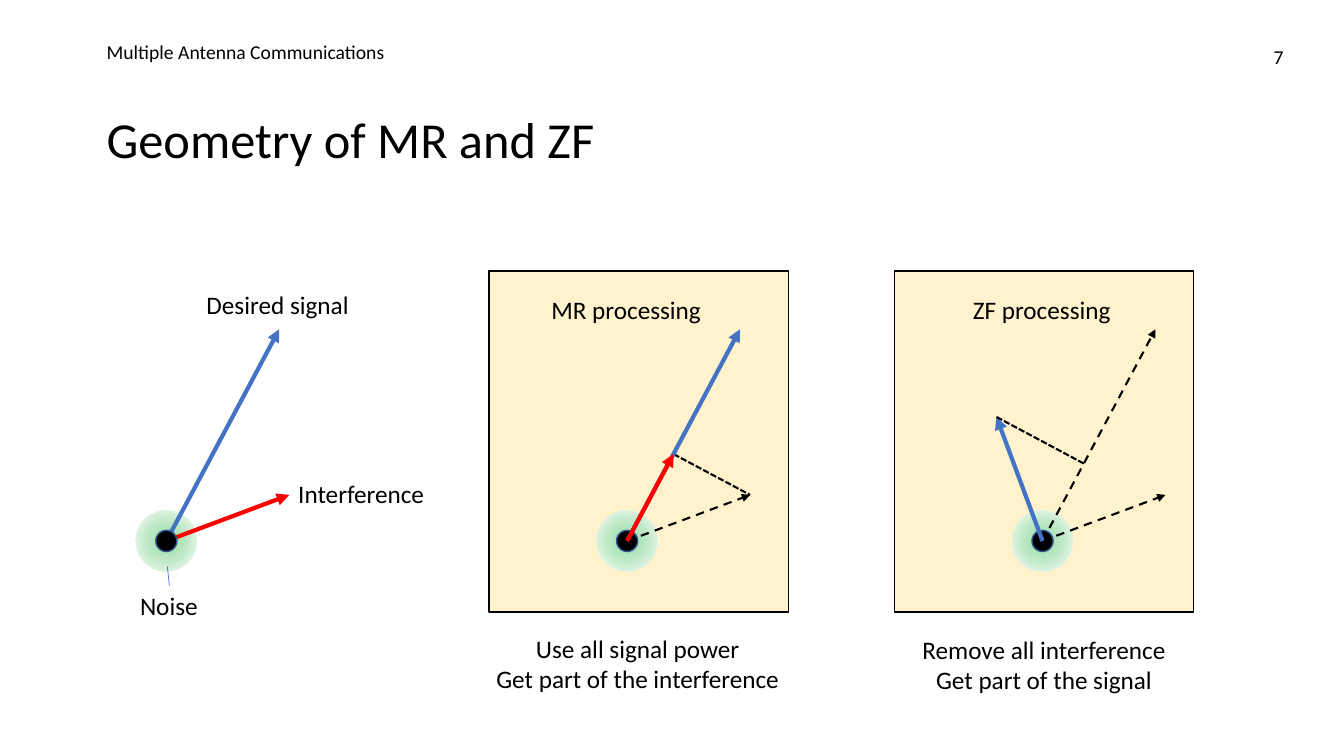
from dataclasses import dataclass
from lxml import etree
from pptx import Presentation
from pptx import util as u
from pptx.dml.color import RGBColor
from pptx.enum import dml, shapes, text
from pptx.oxml.ns import qn

COLS, ROWS = 40, 22.5
SIGNAL, INTERF, ZERO = (3.36, -6.3), (3.66, -1.37), (-1.37, -3.69)
START = (0, 0)


@dataclass
class Theme:
    font: str = "Calibri"
    ink: str = "000000"
    panel: str = "FFF2CC"
    blue: str = "4472C4"
    red: str = "FF0000"
    rim: str = "325491"
    glow: tuple = ((0, "91DEA0"), (44, "BDE8C5"), (100, "FFFFFF"))
    title: int = 36
    body: int = 18
    small: int = 14
    thick: float = 3
    thin: float = 1.5
    edge: float = 1
    hair: float = 0.5


T = Theme()


def project(vec, axis):
    share = sum(a * b for a, b in zip(vec, axis)) / sum(a * a for a in axis)
    return tuple(share * a for a in axis)


MR_FOOT, ZF_FOOT = project(INTERF, SIGNAL), project(ZERO, SIGNAL)

PANELS = [(14.55, 8.07, 8.91, 10.14), (26.61, 8.07, 8.91, 10.14)]
BLUE = dict(color=T.blue, width=T.thick)
RED = dict(color=T.red, width=T.thick)
DASH = dict(color=T.ink, width=T.thin, dash=dml.MSO_LINE.DASH)
FINE = dict(color=T.ink, width=T.thin, dash=dml.MSO_LINE.SQUARE_DOT, head=False)
HUB_ROW = 16.1
GRAPHS = [
    (4.95, [(START, SIGNAL, BLUE), (START, INTERF, RED)], []),
    (18.66, [(MR_FOOT, INTERF, FINE), (START, SIGNAL, BLUE), (START, INTERF, DASH)],
     [(START, MR_FOOT, RED)]),
    (31.02, [(START, SIGNAL, DASH), (START, INTERF, DASH)],
     [(START, ZERO, BLUE), (ZF_FOOT, ZERO, FINE)]),
]
MID = dict(align=text.PP_ALIGN.CENTER)
TIGHT = dict(wrap=False)
LABELS = [
    ("Geometry of MR and ZF", (2.88, 3.27, 35.61, 2.73), dict(size=T.title, space=0.9)),
    ("Multiple Antenna Communications", (2.88, 1.17, 26.79, 0.87),
     dict(size=T.small, anchor=text.MSO_ANCHOR.BOTTOM)),
    ("7", (36.06, 1.2, 2.43, 0.87), dict(size=T.small, align=text.PP_ALIGN.RIGHT)),
    ("Desired signal", (5.85, 8.46, 4.89, 1.2), TIGHT),
    ("Interference", (8.58, 14.1, 4.41, 1.2), TIGHT),
    ("Noise", (3.87, 17.43, 2.34, 1.2), TIGHT),
    ("MR processing", (16.11, 8.61, 5.1, 1.2), TIGHT),
    ("ZF processing", (28.65, 8.61, 4.74, 1.2), TIGHT),
    ("Use all signal power\nGet part of the interference", (14.43, 18.69, 9.09, 3.03), MID),
    ("Remove all interference\nGet part of the signal", (26.61, 18.72, 8.91, 2.13), MID),
]

deck = Presentation()
deck.slide_width, deck.slide_height = u.Inches(13.33), u.Inches(7.5)
slide = deck.slides.add_slide(deck.slide_layouts[6])
CELL = deck.slide_height / ROWS


def grid(*cells):
    return [u.Emu(round(c * CELL)) for c in cells]


def label(words, box, size=T.body, align=text.PP_ALIGN.LEFT,
          anchor=text.MSO_ANCHOR.TOP, wrap=True, space=None):
    frame = slide.shapes.add_textbox(*grid(*box)).text_frame
    frame.word_wrap, frame.vertical_anchor = wrap, anchor
    frame.text = words
    for para in frame.paragraphs:
        para.alignment, para.line_spacing = align, space
        font = para.runs[0].font
        font.name, font.size = T.font, u.Pt(size)
        font.color.rgb = RGBColor.from_string(T.ink)


def block(kind, box, fill=None, line=None):
    shape = slide.shapes.add_shape(kind, *grid(*box))
    shape.shadow.inherit = False
    if fill:
        shape.fill.solid()
        shape.fill.fore_color.rgb = RGBColor.from_string(fill)
    if line:
        shape.line.color.rgb = RGBColor.from_string(line)
        shape.line.width = u.Pt(T.edge)
    else:
        shape.line.fill.background()
    return shape


def disc(x, y, size, **style):
    return block(shapes.MSO_SHAPE.OVAL, (x - size / 2, y - size / 2, size, size), **style)


def halo(x, y):
    props = disc(x, y, 1.81).element.spPr
    grad = etree.Element(qn("a:gradFill"), rotWithShape="1")
    stops = etree.SubElement(grad, qn("a:gsLst"))
    for share, color in T.glow:
        stop = etree.SubElement(stops, qn("a:gs"), pos=str(share * 1000))
        etree.SubElement(stop, qn("a:srgbClr"), val=color)
    ring = etree.SubElement(grad, qn("a:path"), path="circle")
    etree.SubElement(ring, qn("a:fillToRect"), l="50000", t="50000", r="50000", b="50000")
    props.find(qn("a:prstGeom")).addnext(grad)


def ray(start, end, color, width, dash=None, head=True):
    wire = slide.shapes.add_connector(shapes.MSO_CONNECTOR.STRAIGHT, *grid(*start, *end))
    wire.line.color.rgb = RGBColor.from_string(color)
    wire.line.width = u.Pt(width)
    if dash:
        wire.line.dash_style = dash
    props = wire.element.spPr
    if head:
        etree.SubElement(props.find(qn("a:ln")), qn("a:tailEnd"), type="triangle")
    etree.SubElement(props, qn("a:effectLst"))


def rays(hub, items):
    for start, end, style in items:
        ray((hub + start[0], HUB_ROW + start[1]), (hub + end[0], HUB_ROW + end[1]), **style)


for panel in PANELS:
    block(shapes.MSO_SHAPE.RECTANGLE, panel, fill=T.panel, line=T.ink)
for hub, under, over in GRAPHS:
    halo(hub, HUB_ROW)
    rays(hub, under)
    disc(hub, HUB_ROW, 0.63, fill=T.ink, line=T.rim)
    rays(hub, over)
ray((4.98, 16.86), (5.04, 17.43), T.blue, T.hair, head=False)
for words, box, style in LABELS:
    label(words, box, **style)

deck.save("out.pptx")
